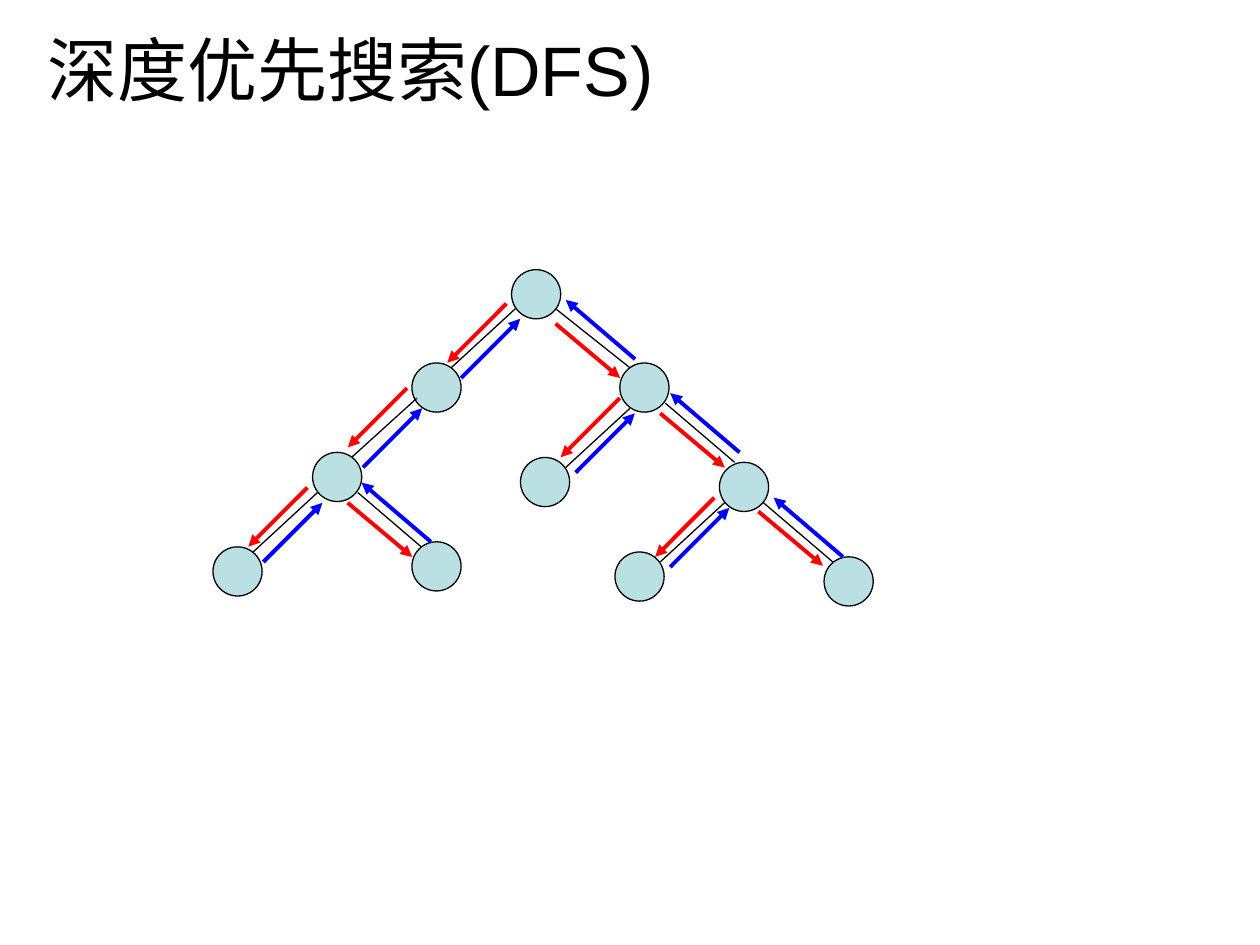
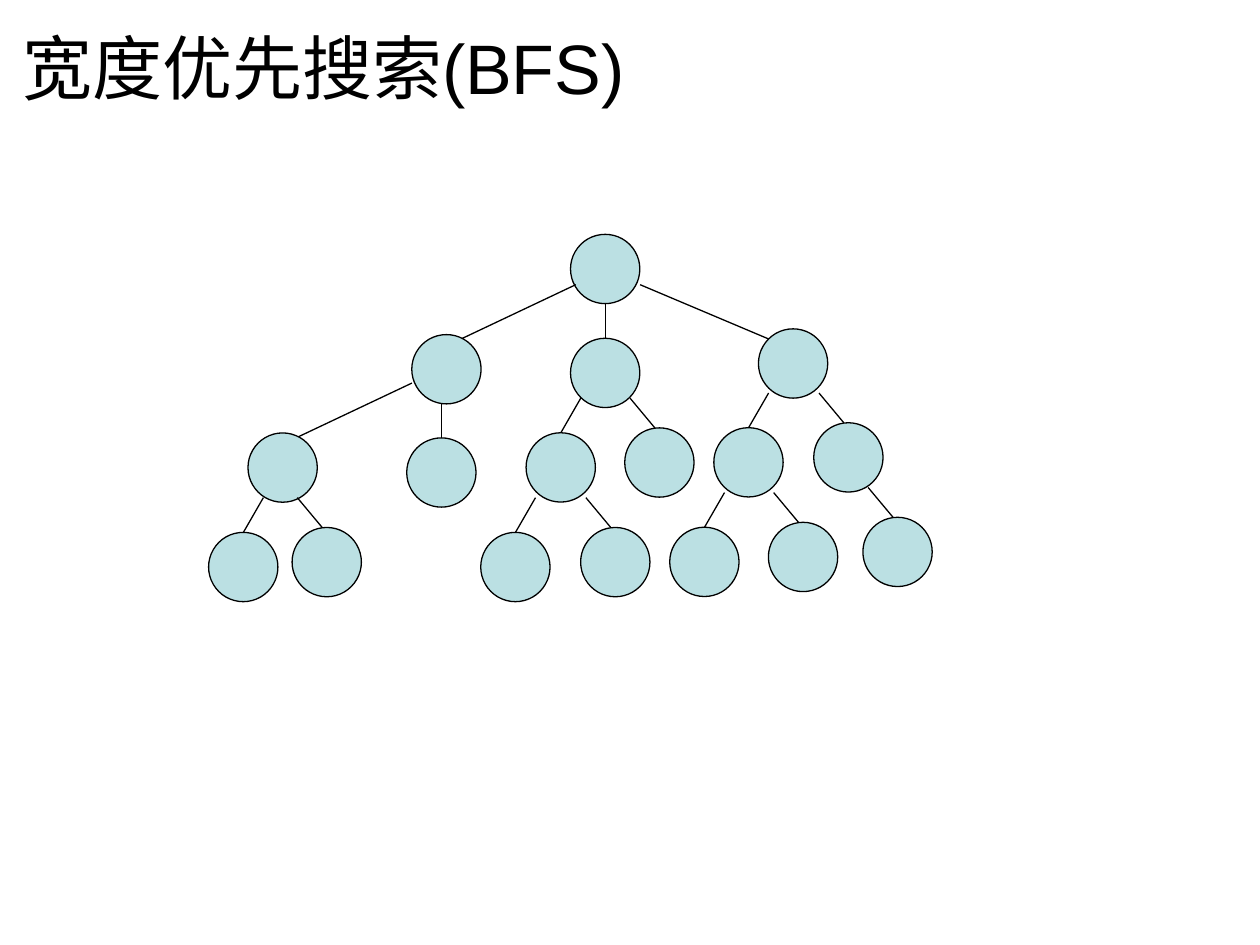
from lxml import etree
from pptx import Presentation
from pptx.dml.color import RGBColor
from pptx.enum import shapes, text
from pptx.oxml import ns
from pptx.util import Pt

COLOURS = {"ink": "000000", "node": "BBE0E3", "down": "FF0000", "up": "0000FF"}
FONT = "Arial"
TITLE_SIZE = 40

# Depth-first tree. Arrow vectors depend on the side a child hangs on.
DFS_NODE = 28.1
DFS_ROOT = (292.3, 154.1)
ARROWS = {
    "left": {"down": (-33.8, 33.8), "up": (33.8, -33.8)},
    "right": {"down": (36.9, 31), "up": (-39.6, -33.8)},
}
# side, edge start, edge end, child corner, start of down arrow, start of up arrow
DFS_BRANCHES = [
    ("left", (294.5, 176.4), (257.8, 210.2), (235.4, 207.4), (289.4, 173.5), (263.5, 216)),
    ("left", (238.3, 227.5), (200.9, 261.4), (178.6, 258.5), (232.6, 221.8), (207.4, 267.1)),
    ("left", (181.4, 281.5), (144.7, 315.4), (121.7, 312.5), (175.7, 278.6), (150.5, 321.1)),
    ("right", (204.5, 281.5), (244.1, 315.4), (235.4, 309.6), (198.7, 287.3), (246.2, 309.6)),
    ("right", (317.5, 176.4), (360, 210.2), (354.2, 207.4), (317.5, 185), (362.9, 205.2)),
    ("left", (360, 233.3), (323.3, 267.1), (297.4, 261.4), (354.2, 227.5), (329, 270)),
    ("right", (380.2, 230.4), (419.8, 264.2), (411.1, 264.2), (377.3, 236.2), (422.6, 258.5)),
    ("right", (436.3, 287.3), (475.9, 321.1), (470.9, 318.2), (433.4, 292.3), (481.7, 318.2)),
    ("left", (414, 287.3), (377.3, 321.1), (351.4, 315.4), (408.2, 284.4), (383, 324)),
]

# Breadth-first tree. Each kind of branch: edge vector, child corner from edge end.
BFS_NODE = 39.6
BFS_ROOT = (326, 133.9)
BRANCH_KINDS = {
    "far left": ((-65.5, 31), (-28.2, -2.5)),
    "far right": ((73.4, 31), (-5.8, -5.8)),
    "below": ((0, 19.8), (-19.8, 0)),
    "left": ((-11.4, 19.8), (-19.9, 0)),
    "right": ((14.2, 17), (-17.2, 0)),
}
BFS_BRANCHES = [
    ("far left", (329, 162.7)), ("below", (345.8, 173.5)), ("far right", (365.8, 162.7)),
    ("far left", (235.4, 218.9)), ("below", (252.2, 230.4)),
    ("left", (331.9, 227.5)), ("right", (360, 227.5)),
    ("left", (439.2, 224.6)), ("right", (468, 224.6)),
    ("left", (150.5, 284.4)), ("right", (169.9, 284.4)),
    ("left", (306, 284.4)), ("right", (334.8, 284.4)),
    ("left", (414, 281.5)), ("right", (442.1, 281.5)), ("right", (496.1, 278.6)),
]


def rgb(name):
    return RGBColor.from_string(COLOURS[name])


def shift(point, vector):
    return point[0] + vector[0], point[1] + vector[1]


class TreeDeck:
    def __init__(self):
        self.deck = Presentation()
        self.deck.slide_width, self.deck.slide_height = Pt(720), Pt(540)
        self.slide = None

    def new_slide(self):
        self.slide = self.deck.slides.add_slide(self.deck.slide_layouts[6])

    def title(self, words, left, top, height):
        box = self.slide.shapes.add_textbox(Pt(left), Pt(top), Pt(648), Pt(height))
        frame = box.text_frame
        frame.word_wrap = True
        frame.vertical_anchor = text.MSO_ANCHOR.MIDDLE
        para = frame.paragraphs[0]
        para.text = words
        para.font.name, para.font.size = FONT, Pt(TITLE_SIZE)
        para.font.color.rgb = rgb("ink")

    def node(self, corner, size):
        left, top = corner
        circle = self.slide.shapes.add_shape(
            shapes.MSO_SHAPE.OVAL, Pt(left), Pt(top), Pt(size), Pt(size))
        circle.shadow.inherit = False
        circle.fill.solid()
        circle.fill.fore_color.rgb = rgb("node")
        circle.line.color.rgb = rgb("ink")
        circle.line.width = Pt(0.75)

    def line(self, start, end, colour="ink", width=0.75):
        link = self.slide.shapes.add_connector(
            shapes.MSO_CONNECTOR.STRAIGHT, *(Pt(value) for value in (*start, *end)))
        link.line.color.rgb = rgb(colour)
        link.line.width = Pt(width)
        etree.SubElement(link._element.spPr, ns.qn("a:effectLst"))
        return link

    def arrow(self, start, vector, colour):
        link = self.line(start, shift(start, vector), colour, 2.25)
        etree.SubElement(link.line._get_or_add_ln(), ns.qn("a:tailEnd"), type="triangle")


def depth_first(page):
    page.new_slide()
    page.title("深度优先搜索(DFS)", 20.2, 9.4, 59.8)
    page.node(DFS_ROOT, DFS_NODE)
    for _, start, end, child, _, _ in DFS_BRANCHES:
        page.line(start, end)
        page.node(child, DFS_NODE)
    for side, _, _, _, down, up in DFS_BRANCHES:
        page.arrow(down, ARROWS[side]["down"], "down")
        page.arrow(up, ARROWS[side]["up"], "up")


def breadth_first(page):
    page.new_slide()
    page.title("宽度优先搜索(BFS)", 5.8, 12.2, 51.1)
    page.node(BFS_ROOT, BFS_NODE)
    for kind, start in BFS_BRANCHES:
        vector, offset = BRANCH_KINDS[kind]
        end = shift(start, vector)
        page.line(start, end)
        page.node(shift(end, offset), BFS_NODE)


def main():
    page = TreeDeck()
    depth_first(page)
    breadth_first(page)
    page.deck.save("out.pptx")


if __name__ == "__main__":
    main()
